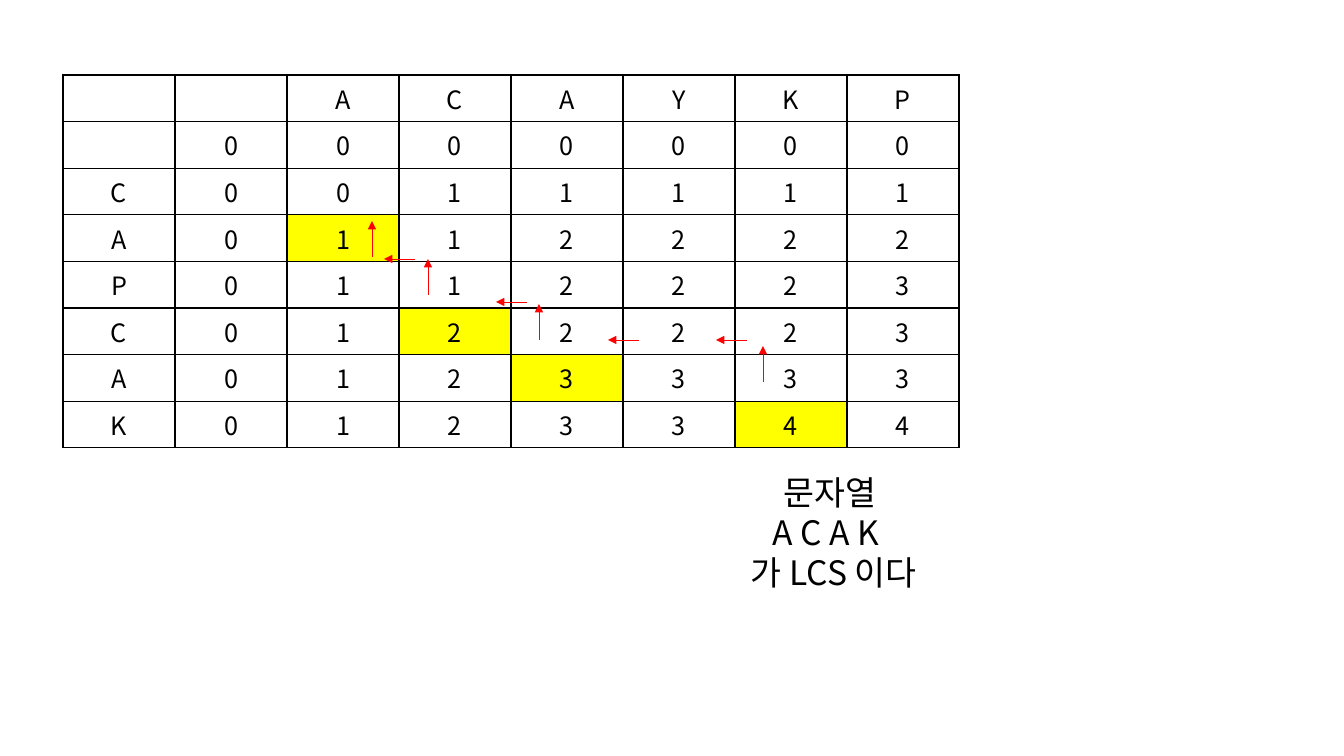
from lxml.etree import SubElement
from pptx import Presentation
from pptx.dml.color import RGBColor as RGB
from pptx.enum.shapes import MSO_CONNECTOR as CONNECTOR
from pptx.enum.text import MSO_ANCHOR as ANCHOR, PP_ALIGN as ALIGN
from pptx.oxml.ns import qn
from pptx.util import Emu, Pt

COLORS = {"ink": "000000", "paper": "FFFFFF", "match": "FFFF00", "trace": "FF0000"}
FONT = "Noto Sans CJK KR"
EMU_PER_PX = 914400 / 100.8


def px(*lengths):
    """Turn pixel lengths into a list of EMU lengths."""
    return [Emu(round(length * EMU_PER_PX)) for length in lengths]


def write(paragraph, text, size):
    """Put one centred run in a paragraph."""
    paragraph.alignment = ALIGN.CENTER
    run = paragraph.add_run()
    run.text = text
    for name, value in {"name": FONT, "size": Pt(size)}.items():
        setattr(run.font, name, value)
    run.font.color.rgb = RGB.from_string(COLORS["ink"])
    SubElement(run.font._element, qn("a:ea"), typeface=FONT)


deck = Presentation()
deck.slide_width, deck.slide_height = px(1344, 756)
slide = deck.slides.add_slide(deck.slide_layouts[6])

# LCS length table; a dot marks an empty cell
lcs_rows = [
    "..ACAYKP",
    ".0000000",
    "C0011111",
    "A0112222",
    "P0112223",
    "C0122223",
    "A0123333",
    "K0123344",
]
matches = {(3, 2), (5, 3), (6, 4), (7, 6)}
column_width, row_height = px(112, 41)
size = len(lcs_rows)
grid = slide.shapes.add_table(
    size, size, *px(63, 75), column_width * size, row_height * size
).table
for flag in ("first_row", "horz_banding"):
    setattr(grid, flag, False)
for column in grid.columns:
    column.width = column_width
for row in grid.rows:
    row.height = row_height

for r, letters in enumerate(lcs_rows):
    for c, letter in enumerate(letters):
        cell = grid.cell(r, c)
        if letter != ".":
            write(cell.text_frame.paragraphs[0], letter, 18)
        properties = cell._tc.get_or_add_tcPr()
        for side in ("lnL", "lnR", "lnT", "lnB"):
            border = SubElement(properties, qn("a:" + side), w=str(Pt(1)))
            paint = SubElement(border, qn("a:solidFill"))
            SubElement(paint, qn("a:srgbClr"), val=COLORS["ink"])
        cell.fill.solid()
        shade = "match" if (r, c) in matches else "paper"
        cell.fill.fore_color.rgb = RGB.from_string(COLORS[shade])

# Trace-back steps: start x, start y and direction
steps = {"up": (0, -36), "left": (-31, 0)}
trace = [
    (539, 340, "up"),
    (747, 340, "left"),
    (639, 340, "left"),
    (763, 382, "up"),
    (527, 302, "left"),
    (415, 259, "left"),
    (428, 295, "up"),
    (372, 257, "up"),
]
for x, y, direction in trace:
    dx, dy = steps[direction]
    arrow = slide.shapes.add_connector(CONNECTOR.STRAIGHT, *px(x, y, x + dx, y + dy))
    arrow.line.width = Pt(0.5)
    arrow.line.color.rgb = RGB.from_string(COLORS["trace"])
    SubElement(arrow.line._get_or_add_ln(), qn("a:tailEnd"), type="triangle")
    SubElement(arrow._element.spPr, qn("a:effectLst"))

conclusion = slide.shapes.add_textbox(*px(646, 359, 368, 346)).text_frame
for name, value in {"word_wrap": True, "vertical_anchor": ANCHOR.MIDDLE}.items():
    setattr(conclusion, name, value)
for i, line in enumerate(["문자열", "A C A K ", " 가 LCS 이다"]):
    paragraph = conclusion.add_paragraph() if i else conclusion.paragraphs[0]
    write(paragraph, line, 24)

deck.save("out.pptx")
